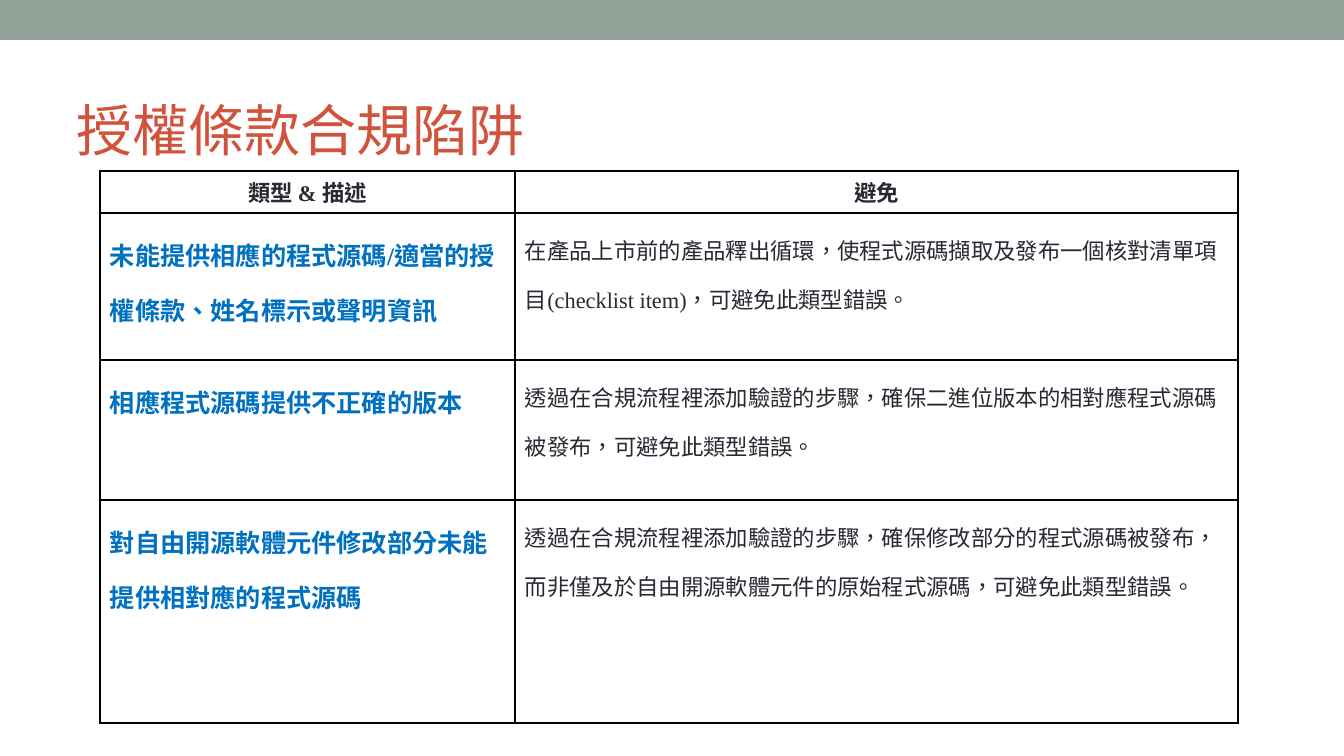
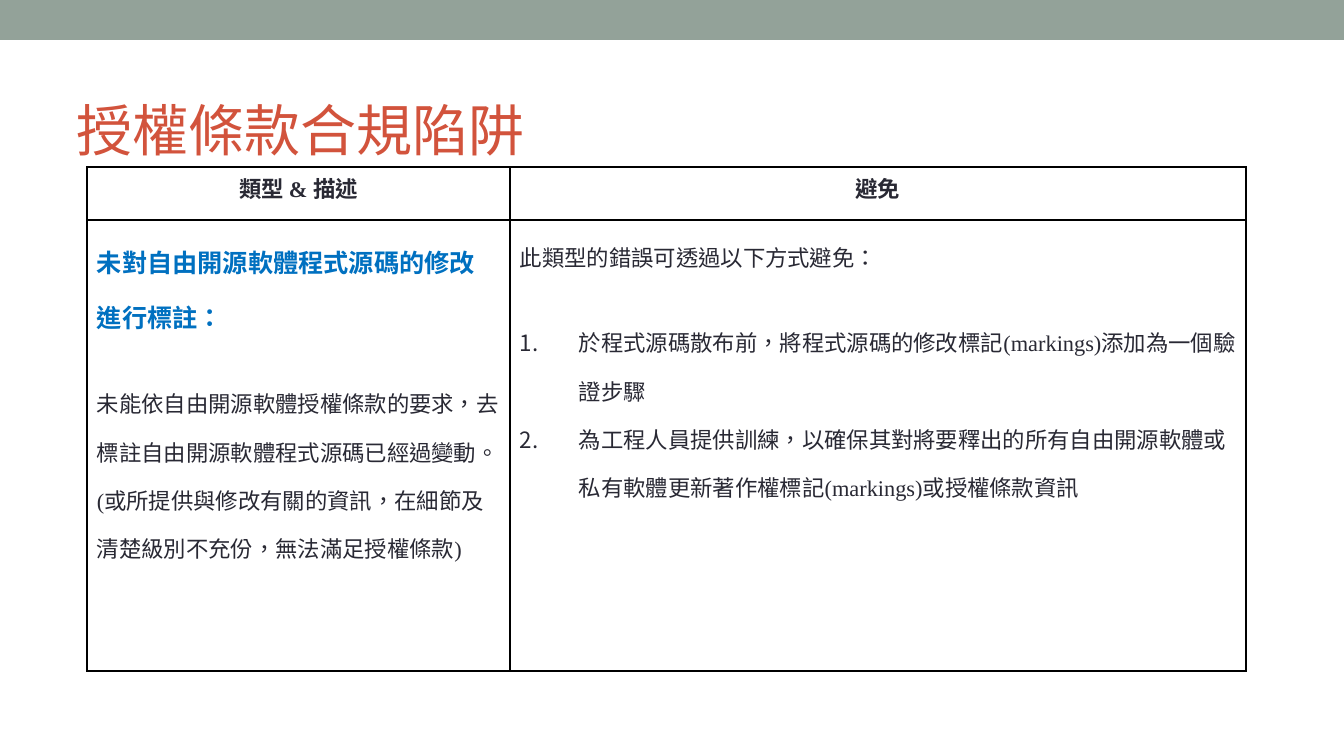
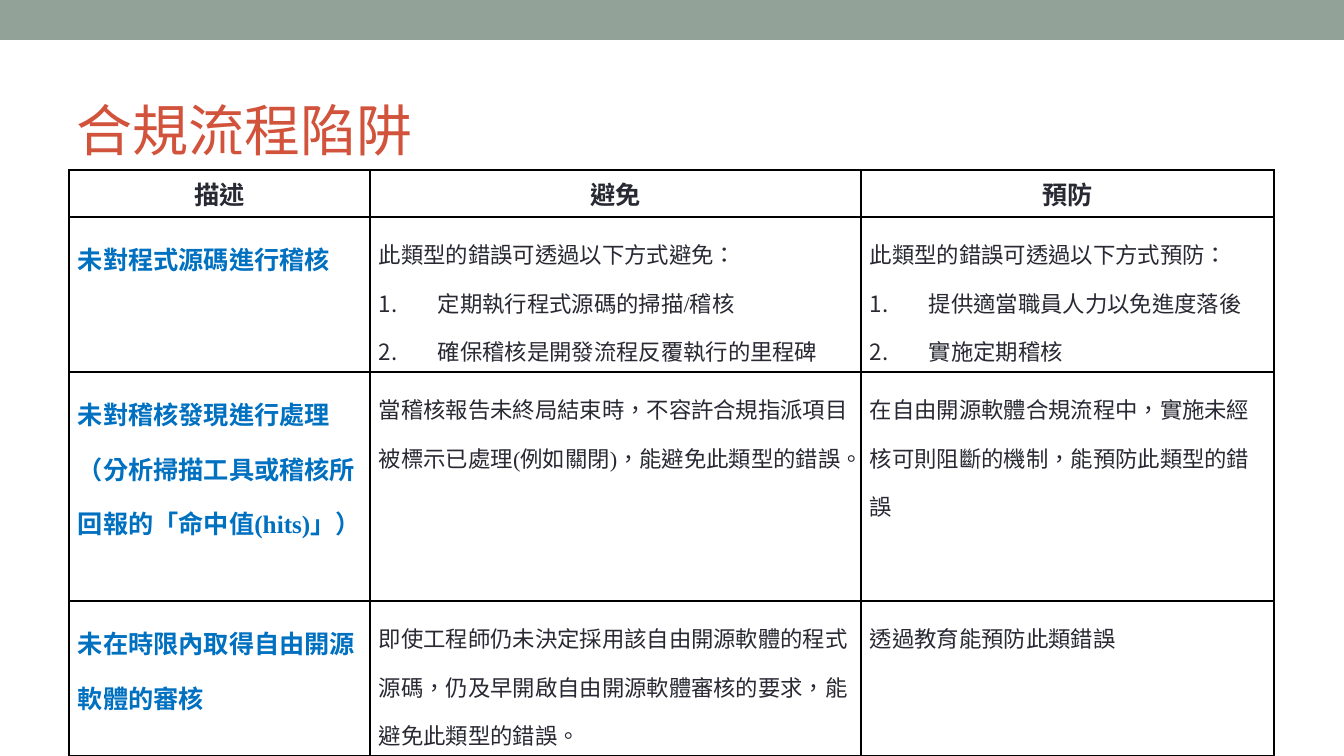
"""Build three slides on open source compliance pitfalls."""
from dataclasses import dataclass

from lxml.etree import SubElement
from pptx import Presentation
from pptx.dml.color import RGBColor
from pptx.enum.lang import MSO_LANGUAGE_ID
from pptx.enum.shapes import MSO_SHAPE
from pptx.enum.text import MSO_ANCHOR, PP_ALIGN
from pptx.oxml.ns import qn
from pptx.util import Emu, Pt

WIDTH, HEIGHT = 1344, 756
SCALE = 12192000 / WIDTH


def px(n):
    """Turn px into EMU."""
    return Emu(round(n * SCALE))


def rgb(value):
    """Turn a hex string into a colour."""
    return RGBColor.from_string(value)


def apply(obj, values):
    """Set every attribute named in a dict."""
    for name, value in values.items():
        setattr(obj, name, value)


@dataclass(frozen=True)
class Style:
    """Look of one kind of paragraph."""
    size: int
    color: str
    bold: bool = False
    spacing: float = 1.5
    before: int = 0
    align: PP_ALIGN = PP_ALIGN.LEFT
    numbered: bool = False


class Theme:
    """Colours, type sizes and paragraph styles of the deck."""
    font = "Times New Roman"
    band, accent, topic, ink, rule = "93A299", "D2533C", "0070C0", "292934", "000000"
    small, medium, large, gap = 16, 18, 40, 26
    hang = 59
    styles = {
        "title": Style(large, accent),
        "head": Style(small, ink, True, 1.0, align=PP_ALIGN.CENTER),
        "bighead": Style(medium, ink, True, 1.0, align=PP_ALIGN.CENTER),
        "topic": Style(medium, topic, True),
        "body": Style(small, ink),
        "body_gap": Style(small, ink, before=gap),
        "item": Style(small, ink, numbered=True),
        "item_gap": Style(small, ink, before=gap, numbered=True),
    }


class Deck:
    """Holds the theme and the current slide."""

    def __init__(self, theme):
        """Start an empty presentation."""
        self.theme = theme
        self.prs = Presentation()
        apply(self.prs, {"slide_width": px(WIDTH), "slide_height": px(HEIGHT)})

    def slide(self, title):
        """Add a slide with its band and title."""
        self.s = self.prs.slides.add_slide(self.prs.slide_layouts[6])
        self.band()
        self.title(title)

    def band(self):
        """Draw the band along the top."""
        sp = self.s.shapes.add_shape(MSO_SHAPE.RECTANGLE, 0, 0, px(WIDTH), px(40))
        sp.shadow.inherit = False
        sp.fill.solid()
        sp.fill.fore_color.rgb = rgb(self.theme.band)
        sp.line.fill.background()

    def title(self, text):
        """Write the slide title."""
        sp = self.s.shapes.add_textbox(px(67), px(58), px(1210), px(109))
        tf = sp.text_frame
        apply(tf, {"word_wrap": True, "vertical_anchor": MSO_ANCHOR.MIDDLE,
                   "margin_left": px(10), "margin_right": px(10)})
        self.text(tf, [("title", text)])

    def text(self, tf, paras):
        """Fill a text frame with (style, text) pairs."""
        for i, (name, text) in enumerate(paras):
            p = tf.add_paragraph() if i else tf.paragraphs[0]
            style = self.theme.styles[name]
            if style.numbered:
                self.number(p, style)
            apply(p, {"alignment": style.align, "line_spacing": style.spacing})
            if style.before:
                p.space_before = Pt(style.before)
            r = p.add_run()
            r.text = text
            apply(r.font, {"name": self.theme.font, "size": Pt(style.size), "bold": style.bold,
                           "language_id": MSO_LANGUAGE_ID.TRADITIONAL_CHINESE})
            r.font.color.rgb = rgb(style.color)

    def number(self, p, style):
        """Number a paragraph with a hanging indent."""
        pPr = p._p.get_or_add_pPr()
        pPr.set("marL", str(px(self.theme.hang)))
        pPr.set("indent", str(-px(self.theme.hang)))
        SubElement(SubElement(pPr, qn("a:buClr")), qn("a:srgbClr"), val=style.color)
        SubElement(pPr, qn("a:buAutoNum"), type="arabicPeriod")

    def borders(self, cell):
        """Rule all four sides of a cell."""
        tcPr = cell._tc.get_or_add_tcPr()
        for i, side in enumerate(("lnL", "lnR", "lnT", "lnB")):
            ln = tcPr.makeelement(qn(f"a:{side}"), {"w": str(Pt(1))})
            fill = SubElement(ln, qn("a:solidFill"))
            SubElement(fill, qn("a:srgbClr"), val=self.theme.rule)
            tcPr.insert(i, ln)

    def table(self, left, top, cols, rows, cells, inset=10):
        """Draw a ruled table from rows of paragraph lists."""
        frame = self.s.shapes.add_table(len(rows), len(cols), px(left), px(top),
                                        px(sum(cols)), px(sum(rows)))
        tbl = frame.table
        apply(tbl, {"first_row": False, "horz_banding": False})
        for col, width in zip(tbl.columns, cols):
            col.width = px(width)
        for row, height, content in zip(tbl.rows, rows, cells):
            row.height = px(height)
            for cell, paras in zip(row.cells, content):
                apply(cell, {"margin_left": px(inset), "margin_right": px(inset),
                             "margin_top": px(5), "margin_bottom": px(5)})
                cell.fill.background()
                self.borders(cell)
                self.text(cell.text_frame, paras)


def heads(style, *labels):
    """Make a header row."""
    return [[(style, label)] for label in labels]


def entry(topic, *bodies):
    """Make a row of one topic and plain answers."""
    return [[("topic", topic)]] + [[("body", body)] for body in bodies]


def steps(lead, *items):
    """Make a lead line followed by numbered items."""
    return [("body", lead)] + [("item", item) for item in items]


def main():
    """Build and save the deck."""
    deck = Deck(Theme())

    deck.slide("授權條款合規陷阱")
    deck.table(100, 171, [415, 723], [42, 147, 140, 223], [
        heads("head", "類型 & 描述", "避免"),
        entry("未能提供相應的程式源碼/適當的授權條款、姓名標示或聲明資訊",
              "在產品上市前的產品釋出循環，使程式源碼擷取及發布一個核對清單項目(checklist item)，可避免此類型錯誤。"),
        entry("相應程式源碼提供不正確的版本",
              "透過在合規流程裡添加驗證的步驟，確保二進位版本的相對應程式源碼被發布，可避免此類型錯誤。"),
        entry("對自由開源軟體元件修改部分未能提供相對應的程式源碼",
              "透過在合規流程裡添加驗證的步驟，確保修改部分的程式源碼被發布，"
              "而非僅及於自由開源軟體元件的原始程式源碼，可避免此類型錯誤。"),
    ])

    deck.slide("授權條款合規陷阱")
    deck.table(87, 167, [423, 736], [53, 451], [
        heads("head", "類型 & 描述", "避免"),
        [[("topic", "未對自由開源軟體程式源碼的修改進行標註："),
          ("body_gap", "未能依自由開源軟體授權條款的要求，去標註自由開源軟體程式源碼已經過變動。"
                       "(或所提供與修改有關的資訊，在細節及清楚級別不充份，無法滿足授權條款)")],
         [("body", "此類型的錯誤可透過以下方式避免："),
          ("item_gap", "於程式源碼散布前，將程式源碼的修改標記(markings)添加為一個驗證步驟"),
          ("item", "為工程人員提供訓練，以確保其對將要釋出的所有自由開源軟體或"
                   "私有軟體更新著作權標記(markings)或授權條款資訊")]],
    ])

    deck.slide("合規流程陷阱")
    deck.table(69, 170, [301, 491, 413], [47, 155, 229, 155], [
        heads("bighead", "描述", "避免", "預防"),
        [[("topic", "未對程式源碼進行稽核")],
         steps("此類型的錯誤可透過以下方式避免：", "定期執行程式源碼的掃描/稽核", "確保稽核是開發流程反覆執行的里程碑"),
         steps("此類型的錯誤可透過以下方式預防：", "提供適當職員人力以免進度落後", "實施定期稽核")],
        entry("未對稽核發現進行處理（分析掃描工具或稽核所回報的「命中值(hits)」）",
              "當稽核報告未終局結束時，不容許合規指派項目被標示已處理(例如關閉)，能避免此類型的錯誤。",
              "在自由開源軟體合規流程中，實施未經核可則阻斷的機制，能預防此類型的錯誤"),
        entry("未在時限內取得自由開源軟體的審核",
              "即使工程師仍未決定採用該自由開源軟體的程式源碼，仍及早開啟自由開源軟體審核的要求，能避免此類型的錯誤。",
              "透過教育能預防此類錯誤"),
    ], inset=9)

    deck.prs.save("out.pptx")


if __name__ == "__main__":
    main()
